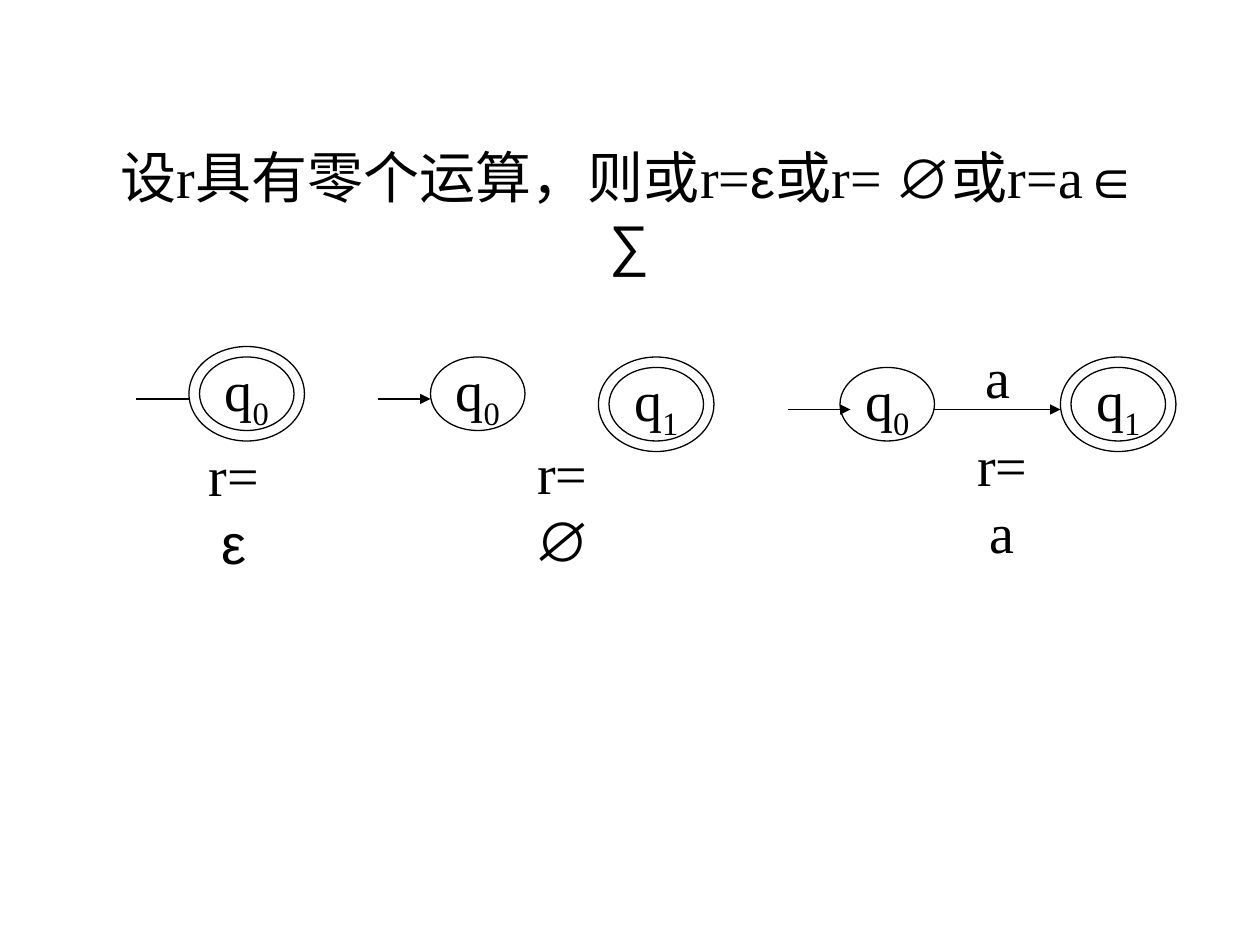
from dataclasses import dataclass

import pptx
import pptx.dml.color
import pptx.enum.shapes
import pptx.enum.text
import pptx.oxml
import pptx.oxml.ns
import pptx.util

PX = 7620  # 120 px to the inch
SERIF, SANS = "Times New Roman", "Arial"
BLACK, WHITE = "000000", "FFFFFF"
WIDE, HIGH, RING = 90, 70, 10


@dataclass
class State:
    x: int
    y: int
    index: str
    final: bool = False


@dataclass
class Arrow:
    start: int
    end: int
    y: int
    head: bool = True


@dataclass
class Label:
    x: int
    y: int
    width: int
    height: int
    runs: list[tuple[str, str]]
    wrap: bool = True


STATES = [
    State(190, 340, "0", True),
    State(410, 340, "0"),
    State(580, 350, "1", True),
    State(800, 350, "0"),
    State(1020, 350, "1", True),
]
ARROWS = [
    Arrow(130, 180, 380, False),
    Arrow(360, 410, 380),
    Arrow(750, 810, 390),
    Arrow(890, 1010, 390),
]
TITLE = Label(90, 130, 1020, 140, [
    ("设r具有零个运算，则或r=", SERIF), ("ε", SANS), ("或r= ", SERIF),
    ("∅", SANS), ("或r=a", SERIF), ("∈ ∑", SANS),
])
LABELS = [
    Label(910, 320, 80, 77, [("a", SERIF)]),
    Label(175, 414, 95, 77, [("r=", SERIF), ("ε", SANS)]),
    Label(472, 412, 127, 77, [("r= ", SERIF), ("∅", SANS)]),
    Label(907, 404, 95, 77, [("r=a", SERIF)], False),
]


def color(code: str) -> pptx.dml.color.RGBColor:
    return pptx.dml.color.RGBColor.from_string(code)


def box(*sizes: int) -> list[int]:
    return [size * PX for size in sizes]


def write(frame, runs: list[tuple[str, str]]) -> None:
    para = frame.paragraphs[0]
    para.alignment = pptx.enum.text.PP_ALIGN.CENTER
    for text, face in runs:
        run = para.add_run()
        run.text = text
        run.font.name = face
        run.font.size = pptx.util.Pt(32)
        run.font.color.rgb = color(BLACK)


def draw_oval(shapes, x: int, y: int, width: int, height: int):
    oval = shapes.add_shape(
        pptx.enum.shapes.MSO_SHAPE.OVAL, *box(x, y, width, height))
    oval.shadow.inherit = False
    oval.fill.solid()
    oval.fill.fore_color.rgb = color(WHITE)
    oval.line.color.rgb = color(BLACK)
    oval.line.width = pptx.util.Pt(0.75)
    return oval


def draw_state(shapes, state: State) -> None:
    """Draw a state, with a second ring when it accepts."""
    if state.final:
        draw_oval(shapes, state.x - RING, state.y - RING,
                  WIDE + 2 * RING, HIGH + 2 * RING)
    frame = draw_oval(shapes, state.x, state.y, WIDE, HIGH).text_frame
    frame.word_wrap = False
    frame.vertical_anchor = pptx.enum.text.MSO_ANCHOR.MIDDLE
    write(frame, [("q", SERIF), (state.index, SERIF)])
    sub = frame.paragraphs[0].runs[1]
    sub.font._element.set("baseline", "-25000")


def draw_arrow(shapes, arrow: Arrow) -> None:
    line = shapes.add_connector(
        pptx.enum.shapes.MSO_CONNECTOR.STRAIGHT,
        *box(arrow.start, arrow.y, arrow.end, arrow.y))
    line.line.color.rgb = color(BLACK)
    line.line.width = pptx.util.Pt(0.75)
    space = pptx.oxml.ns.nsdecls("a")
    if arrow.head:
        line.line._get_or_add_ln().append(
            pptx.oxml.parse_xml(f'<a:tailEnd {space} type="triangle"/>'))
    line._element.spPr.append(pptx.oxml.parse_xml(f"<a:effectLst {space}/>"))


def draw_label(shapes, label: Label) -> None:
    frame = shapes.add_textbox(
        *box(label.x, label.y, label.width, label.height)).text_frame
    frame.word_wrap = label.wrap
    frame.auto_size = pptx.enum.text.MSO_AUTO_SIZE.SHAPE_TO_FIT_TEXT
    write(frame, label.runs)


def main() -> None:
    deck = pptx.Presentation()
    deck.slide_width, deck.slide_height = box(1200, 900)
    slide = deck.slides.add_slide(deck.slide_layouts[6])
    draw_label(slide.shapes, TITLE)
    graph = slide.shapes.add_group_shape().shapes
    for state in STATES:
        draw_state(graph, state)
    for arrow in ARROWS:
        draw_arrow(graph, arrow)
    for label in LABELS:
        draw_label(graph, label)
    deck.save("out.pptx")


if __name__ == "__main__":
    main()
